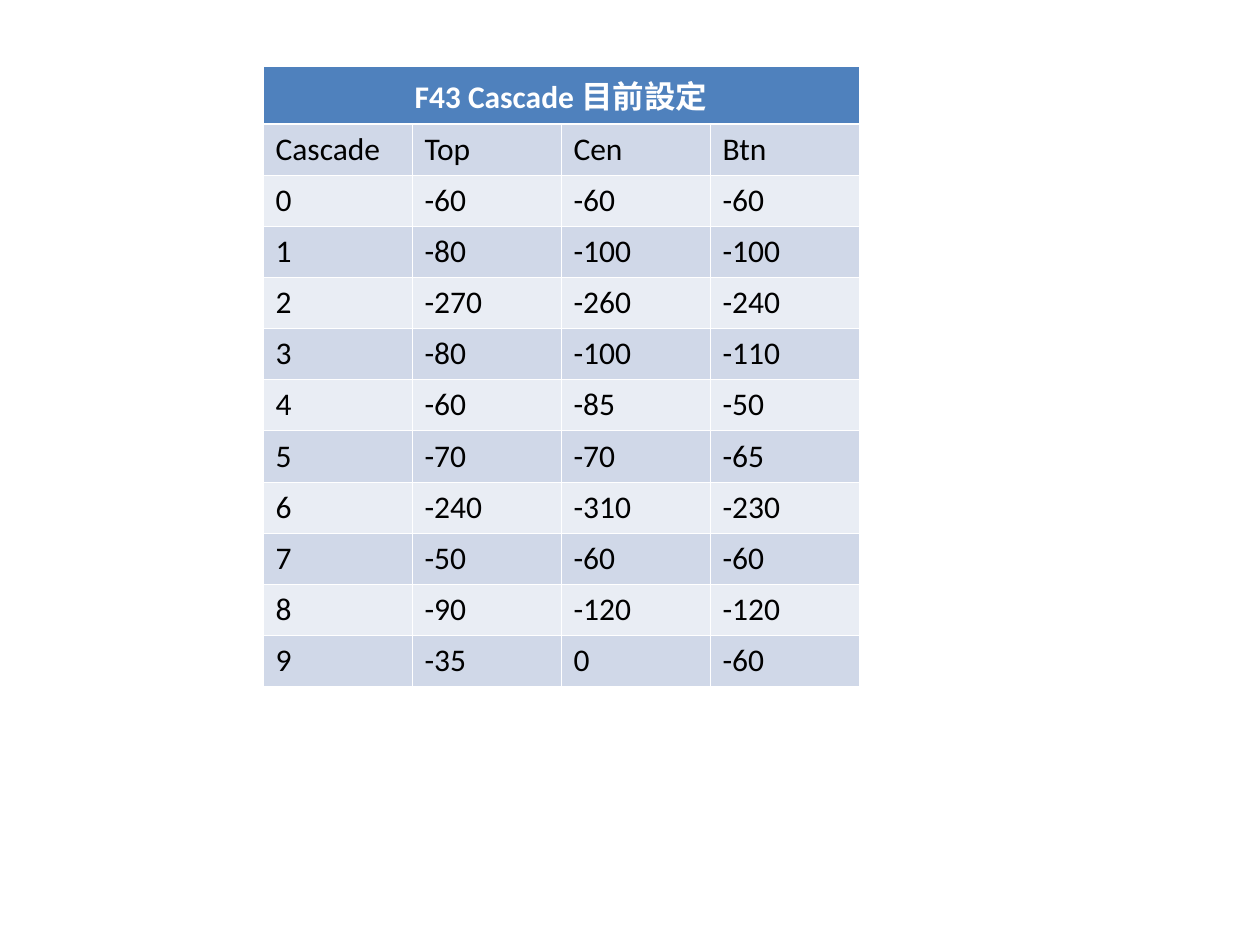
from dataclasses import dataclass

from lxml import etree
from pptx import Presentation
from pptx.dml.color import RGBColor
from pptx.enum.text import PP_ALIGN
from pptx.oxml.ns import qn
from pptx.util import Emu, Pt

CENTER = PP_ALIGN.CENTER
LEFT = PP_ALIGN.LEFT
BLANK_LAYOUT = 6


@dataclass(frozen=True)
class Theme:
    font: str = "Calibri"
    size: int = 18
    header: str = "4F81BD"
    bands: tuple[str, str] = ("D0D8E8", "E9EDF4")
    text: str = "000000"
    white: str = "FFFFFF"
    thin_line: float = 0.45
    thick_line: float = 1.47


@dataclass(frozen=True)
class CellStyle:
    fill: str
    color: str
    bold: bool = False
    align: PP_ALIGN = LEFT
    top: float = 0.45
    bottom: float = 0.45


@dataclass(frozen=True)
class CascadeSetting:
    cascade: str
    top: str
    cen: str
    btn: str

    def values(self) -> tuple[str, ...]:
        return self.cascade, self.top, self.cen, self.btn


THEME = Theme()
TITLE = "F43 Cascade 目前設定"
SETTINGS = [
    CascadeSetting("Cascade", "Top", "Cen", "Btn"),
    CascadeSetting("0", "-60", "-60", "-60"),
    CascadeSetting("1", "-80", "-100", "-100"),
    CascadeSetting("2", "-270", "-260", "-240"),
    CascadeSetting("3", "-80", "-100", "-110"),
    CascadeSetting("4", "-60", "-85", "-50"),
    CascadeSetting("5", "-70", "-70", "-65"),
    CascadeSetting("6", "-240", "-310", "-230"),
    CascadeSetting("7", "-50", "-60", "-60"),
    CascadeSetting("8", "-90", "-120", "-120"),
    CascadeSetting("9", "-35", "0", "-60"),
]
COLUMN_COUNT = 4
TABLE_LEFT, TABLE_TOP = 263, 66
COLUMN_WIDTH, ROW_HEIGHT = 149, 51


def px(length: int) -> Emu:
    return Emu(round(length * 914400 / 126))


def set_borders(cell, top: float, bottom: float) -> None:
    """Put white borders before the fill, as the schema orders them."""
    properties = cell._tc.get_or_add_tcPr()
    widths = {"a:lnL": THEME.thin_line, "a:lnR": THEME.thin_line,
              "a:lnT": top, "a:lnB": bottom}
    for position, (tag, width) in enumerate(widths.items()):
        line = etree.Element(qn(tag), w=str(Pt(width)))
        fill = etree.SubElement(line, qn("a:solidFill"))
        etree.SubElement(fill, qn("a:srgbClr"), val=THEME.white)
        properties.insert(position, line)


def style_cell(cell, style: CellStyle) -> None:
    cell.fill.solid()
    cell.fill.fore_color.rgb = RGBColor.from_string(style.fill)
    set_borders(cell, style.top, style.bottom)
    paragraph = cell.text_frame.paragraphs[0]
    paragraph.alignment = style.align
    font = paragraph.font
    font.name = THEME.font
    font.size = Pt(THEME.size)
    font.bold = style.bold
    font.color.rgb = RGBColor.from_string(style.color)


def fill_row(table, row: int, texts: tuple[str, ...], style: CellStyle) -> None:
    for column, text in enumerate(texts):
        cell = table.cell(row, column)
        cell.text = text
        style_cell(cell, style)


def add_settings_table(slide) -> None:
    row_count = len(SETTINGS) + 1
    table = slide.shapes.add_table(
        row_count, COLUMN_COUNT, px(TABLE_LEFT), px(TABLE_TOP),
        px(COLUMN_WIDTH * COLUMN_COUNT), px(ROW_HEIGHT * row_count)).table
    for column in table.columns:
        column.width = px(COLUMN_WIDTH)
    for row in table.rows:
        row.height = px(ROW_HEIGHT)

    # Title row across all columns
    title_style = CellStyle(THEME.header, THEME.white, bold=True, align=CENTER,
                            bottom=THEME.thick_line)
    fill_row(table, 0, (TITLE, "", "", ""), title_style)
    table.cell(0, 0).merge(table.cell(0, COLUMN_COUNT - 1))

    # Banded rows of labels and values
    for index, setting in enumerate(SETTINGS):
        top = THEME.thick_line if index == 0 else THEME.thin_line
        style = CellStyle(THEME.bands[index % 2], THEME.text, top=top)
        fill_row(table, index + 1, setting.values(), style)


def main() -> None:
    presentation = Presentation()
    presentation.slide_width = px(1260)
    presentation.slide_height = px(945)
    slide = presentation.slides.add_slide(presentation.slide_layouts[BLANK_LAYOUT])
    add_settings_table(slide)
    presentation.save("out.pptx")


if __name__ == "__main__":
    main()
